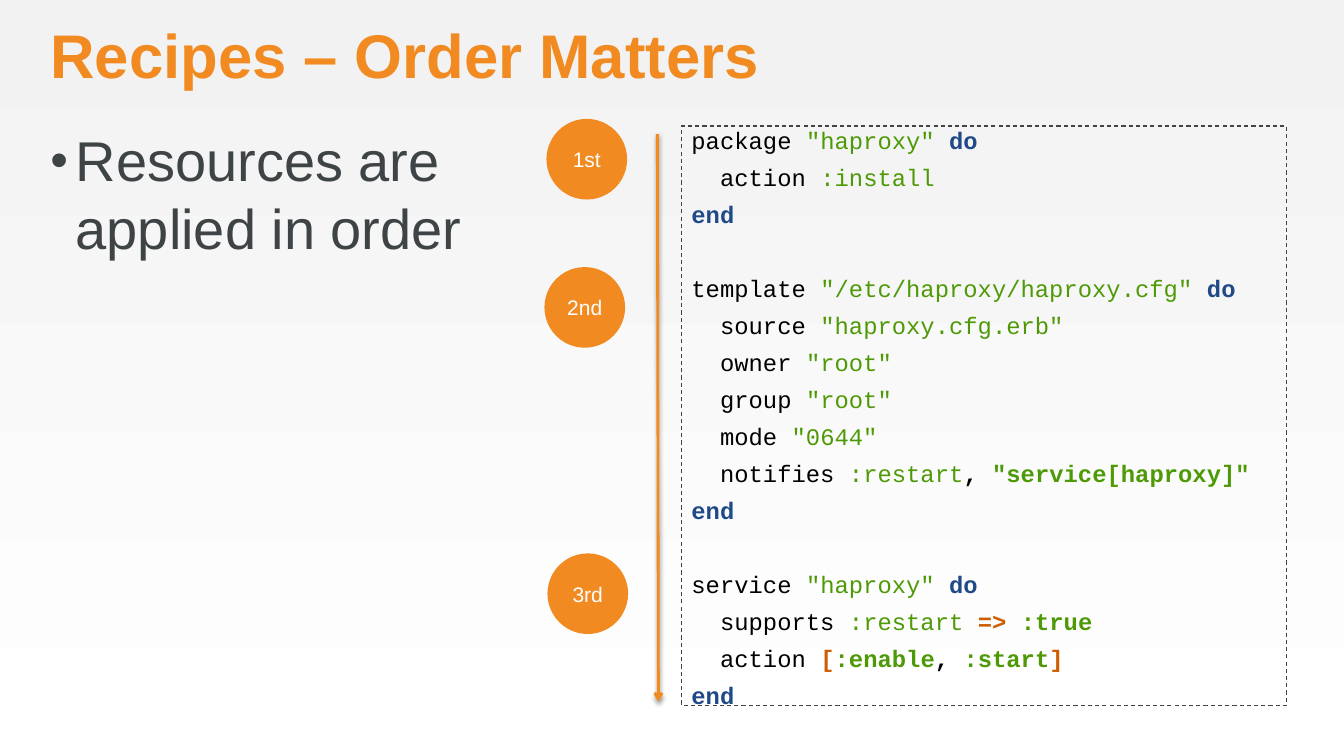
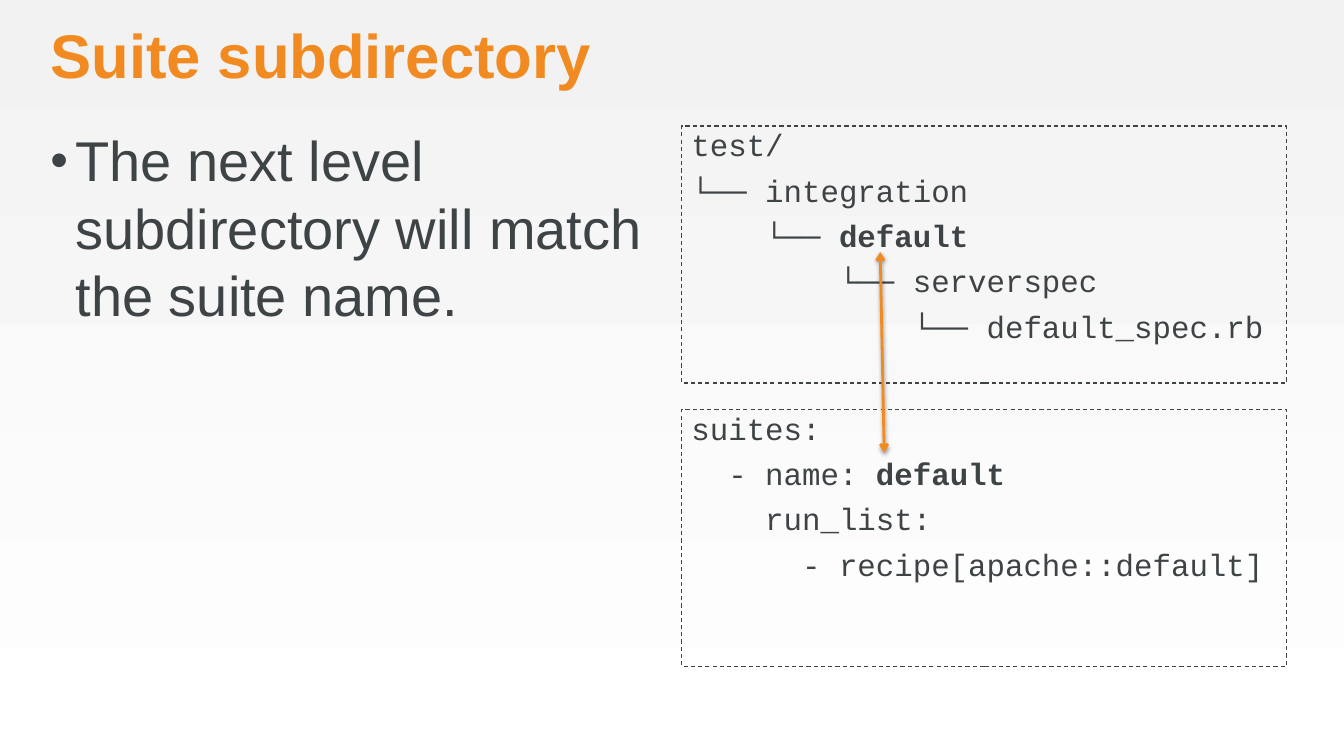
from lxml.etree import SubElement
from pptx import Presentation
from pptx.dml.color import RGBColor
from pptx.enum.dml import MSO_LINE
from pptx.enum.shapes import MSO_CONNECTOR, MSO_SHAPE
from pptx.enum.text import MSO_ANCHOR, PP_ALIGN
from pptx.oxml.ns import qn
from pptx.util import Emu, Pt

ORANGE, DARK, WHITE = "F18B21", "3E4346", "FFFFFF"
SANS, MONO = "Arial", "Courier New"
TITLE_BOX = (50, 25, 1225, 68)
PARA_GAP = 6

STYLES = {
    "text": (DARK, False),
    "strong": (DARK, True),
    "name": ("000000", False),
    "comma": ("000000", True),
    "value": ("4E9A06", False),
    "symbol": ("4E9A06", True),
    "key": ("204A87", True),
    "op": ("CE5C00", True),
}

END = [("end", "key")]
RECIPE = [
    [
        [("package ", "name"), ('"haproxy" ', "value"), ("do", "key")],
        [("  action ", "name"), (":install", "value")],
        END,
    ],
    [
        [("template ", "name"), ('"/etc/haproxy/haproxy.cfg" ', "value"), ("do", "key")],
        [("  source ", "name"), ('"haproxy.cfg.erb"', "value")],
        [("  owner ", "name"), ('"root"', "value")],
        [("  group ", "name"), ('"root"', "value")],
        [("  mode ", "name"), ('"0644"', "value")],
        [("  notifies ", "name"), (":restart", "value"), (", ", "comma"),
         ('"service[haproxy]"', "symbol")],
        END,
    ],
    [
        [("service ", "name"), ('"haproxy" ', "value"), ("do", "key")],
        [("  supports ", "name"), (":restart ", "value"), ("=> ", "op"), (":true", "symbol")],
        [("  action ", "name"), ("[", "op"), (":enable", "symbol"), (", ", "comma"),
         (":start", "symbol"), ("]", "op")],
        END,
    ],
]
TREE = [[
    [("test/", "text")],
    [("└── integration", "text")],
    [("    └── ", "text"), ("default", "strong")],
    [("        └── serverspec", "text")],
    [("            └── default_spec.rb", "text")],
]]
SUITES = [[
    [("suites:", "text")],
    [("  - name: ", "text"), ("default", "strong")],
    [("    run_list:", "text")],
    [("      - recipe[apache::default]", "text")],
]]


def px(n):
    """Turn px, 100 to the inch, into EMU."""
    return Emu(n * 9144)


def rgb(color):
    """Turn a hex string into a colour."""
    return RGBColor.from_string(color)


def style_font(font, name, size, color, bold=False):
    """Set face, size, colour and weight of a font."""
    font.name, font.size, font.bold = name, Pt(size), bold
    font.color.rgb = rgb(color)


def set_frame(tf, left=0, top=0):
    """Wrap a text frame and give it symmetrical insets."""
    tf.word_wrap = True
    tf.margin_left = tf.margin_right = px(left)
    tf.margin_top = tf.margin_bottom = px(top)


def add_text(slide, box, text, size, color, bold=False):
    """Add a one-paragraph text box and return its paragraph."""
    tf = slide.shapes.add_textbox(*map(px, box)).text_frame
    set_frame(tf)
    p = tf.paragraphs[0]
    p.text = text
    style_font(p.runs[0].font, SANS, size, color, bold)
    return p


def add_title(slide, text):
    """Add the slide title."""
    add_text(slide, TITLE_BOX, text, 44, ORANGE, True).line_spacing = 0.9


def add_bullet(slide, box, text):
    """Add a large bulleted statement."""
    p = add_text(slide, box, text, 40, DARK)
    pPr = p._p.get_or_add_pPr()
    pPr.set("marL", str(px(25)))
    pPr.set("indent", str(px(-25)))
    SubElement(pPr, qn("a:buSzPct"), val="90000")
    SubElement(pPr, qn("a:buFont"), typeface=SANS)
    SubElement(pPr, qn("a:buChar"), char="•")


def add_code(slide, box, blocks, size):
    """Add a dashed box of code whose blocks are one line apart."""
    sp = slide.shapes.add_shape(MSO_SHAPE.RECTANGLE, *map(px, box))
    sp.shadow.inherit = False
    sp.fill.background()
    sp.line.color.rgb = rgb(DARK)
    sp.line.width = Pt(0.75)
    sp.line.dash_style = MSO_LINE.DASH
    tf = sp.text_frame
    set_frame(tf, left=10)
    tf.vertical_anchor = MSO_ANCHOR.TOP
    block_gap = 2 * PARA_GAP + round(1.2 * size, 1)
    p = None
    for block in blocks:
        for i, line in enumerate(block):
            if p is None:
                p = tf.paragraphs[0]
            else:
                p = tf.add_paragraph()
                p.space_before = Pt(PARA_GAP if i else block_gap)
            p.alignment = PP_ALIGN.LEFT
            for text, style in line:
                r = p.add_run()
                r.text = text
                style_font(r.font, MONO, size, *STYLES[style])


def add_step(slide, left, top, text):
    """Add an orange circle that names a step."""
    sp = slide.shapes.add_shape(MSO_SHAPE.OVAL, px(left), px(top), px(80), px(80))
    sp.shadow.inherit = False
    sp.fill.solid()
    sp.fill.fore_color.rgb = rgb(ORANGE)
    sp.line.fill.background()
    tf = sp.text_frame
    set_frame(tf, 10, 5)
    tf.vertical_anchor = MSO_ANCHOR.MIDDLE
    p = tf.paragraphs[0]
    p.text = text
    p.alignment = PP_ALIGN.CENTER
    style_font(p.runs[0].font, SANS, 15, WHITE)


def add_arrow(slide, start, end, ends=("tailEnd",)):
    """Add an orange arrow with a soft shadow."""
    cxn = slide.shapes.add_connector(MSO_CONNECTOR.STRAIGHT, *map(px, start + end))
    cxn.line.color.rgb = rgb(ORANGE)
    cxn.line.width = Pt(2)
    for name in ends:
        SubElement(cxn.get_or_add_ln(), qn(f"a:{name}"), type="arrow")
    effects = SubElement(cxn._element.spPr, qn("a:effectLst"))
    shadow = SubElement(effects, qn("a:outerShdw"), blurRad=str(Pt(3.1)), dist=str(Pt(1.6)),
                        dir="5400000", rotWithShape="0")
    color = SubElement(shadow, qn("a:srgbClr"), val="000000")
    SubElement(color, qn("a:alpha"), val="38000")


def set_background(master):
    """Give all slides a light vertical gradient."""
    fill = master.background.fill
    fill.gradient()
    fill.gradient_angle = 270
    for stop, position, color in zip(fill.gradient_stops, (0, 1), ("F2F2F2", WHITE)):
        stop.position = position
        stop.color.rgb = rgb(color)


def add_slide(prs, title):
    """Add a blank slide with a title."""
    slide = prs.slides.add_slide(prs.slide_layouts[6])
    add_title(slide, title)
    return slide


def build_order_slide(prs):
    """Build the slide on the order of resources."""
    slide = add_slide(prs, "Recipes – Order Matters")
    add_bullet(slide, (50, 125, 525, 575), "Resources are applied in order")
    add_code(slide, (676, 125, 600, 575), RECIPE, 17)
    for left, top, text in ((542, 118, "1st"), (540, 265, "2nd"), (543, 549, "3rd")):
        add_step(slide, left, top, text)
    add_arrow(slide, (652, 133), (653, 696))


def build_suite_slide(prs):
    """Build the slide that matches directory and suite name."""
    slide = add_slide(prs, "Suite subdirectory")
    add_bullet(slide, (50, 125, 600, 575),
               "The next level subdirectory will match the suite name.")
    for top, code in ((125, TREE), (406, SUITES)):
        add_code(slide, (676, top, 600, 255), code, 22)
    add_arrow(slide, (873, 250), (877, 449), ("headEnd", "tailEnd"))


def main():
    """Build and save the presentation."""
    prs = Presentation()
    prs.slide_width, prs.slide_height = px(1333), px(750)
    set_background(prs.slide_master)
    build_order_slide(prs)
    build_suite_slide(prs)
    prs.save("out.pptx")


if __name__ == "__main__":
    main()
